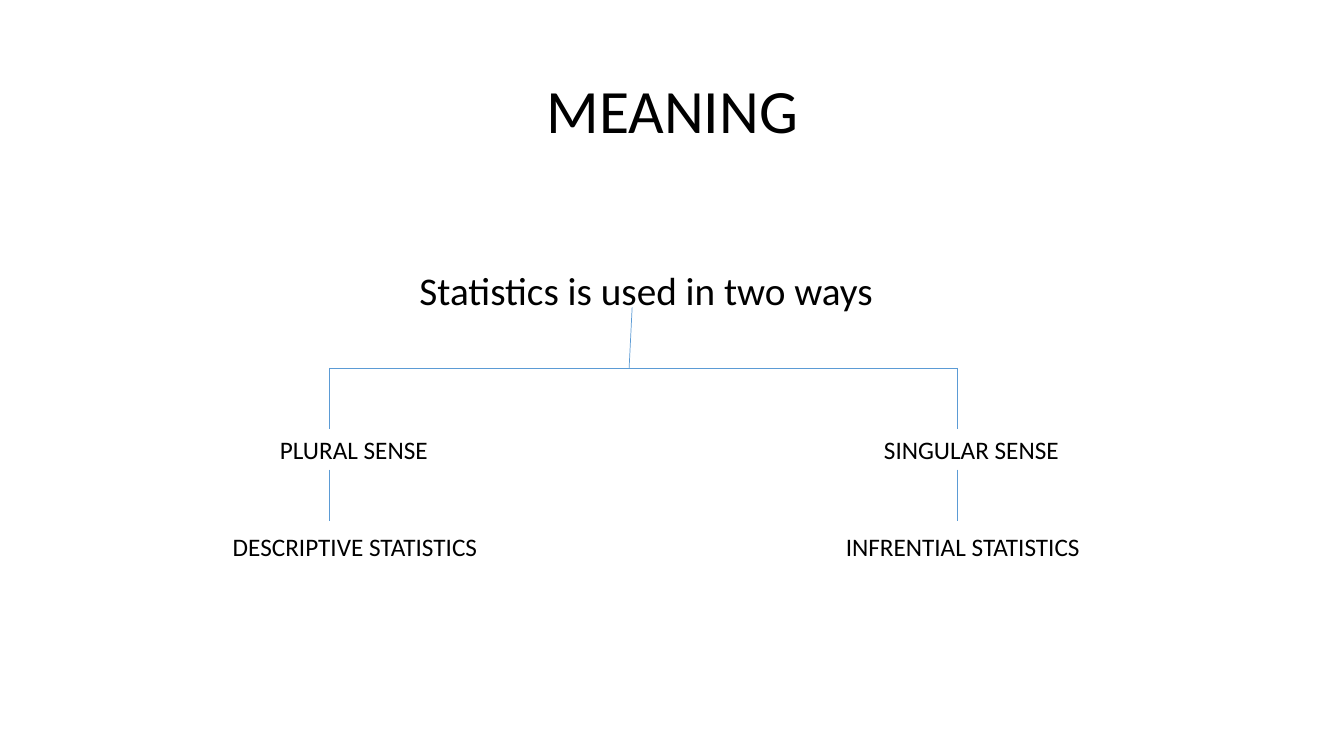
from lxml import etree
from pptx import Presentation
from pptx.dml.color import RGBColor
from pptx.enum.shapes import MSO_CONNECTOR
from pptx.enum.text import MSO_ANCHOR, MSO_AUTO_SIZE, PP_ALIGN
from pptx.oxml.ns import qn
from pptx.util import Inches, Pt

STRAIGHT = MSO_CONNECTOR.STRAIGHT
MIDDLE, TOP = MSO_ANCHOR.MIDDLE, MSO_ANCHOR.TOP
NO_FIT, GROW = MSO_AUTO_SIZE.NONE, MSO_AUTO_SIZE.SHAPE_TO_FIT_TEXT
LEFT, CENTER = PP_ALIGN.LEFT, PP_ALIGN.CENTER
FONT, BLACK, BLUE = "Calibri", "000000", "5B9BD5"


def paint(color, code):
    color.rgb = RGBColor.from_string(code)


def write(shape, text, size, align, fit, anchor=TOP):
    frame = shape.text_frame
    frame.text = text
    frame.word_wrap = True
    frame.auto_size = fit
    frame.vertical_anchor = anchor
    para = frame.paragraphs[0]
    para.alignment = align
    font = para.runs[0].font
    font.size, font.name = Pt(size), FONT
    paint(font.color, BLACK)
    return para


def place(shape, left, top, width, height):
    shape.left, shape.top = Inches(left), Inches(top)
    shape.width, shape.height = Inches(width), Inches(height)


def add_title(slide, text):
    title = slide.shapes.title
    place(title, 0.92, 0.4, 11.5, 1.45)
    write(title, text, 44, CENTER, NO_FIT, MIDDLE).line_spacing = 0.9


def add_lead(slide, text):
    body = slide.placeholders[1]
    place(body, 0.9, 2.07, 11.5, 4.76)
    para = write(body, text, 28, LEFT, NO_FIT)
    body.text_frame.margin_top = Inches(0.62)
    para.line_spacing = 0.9
    para.space_before = Pt(0)
    props = para._p.get_or_add_pPr()
    props.set("marL", str(Inches(3.16)))
    props.set("indent", "0")
    etree.SubElement(props, qn("a:buNone"))


def add_label(slide, text, left, top, width, align):
    box = slide.shapes.add_textbox(
        Inches(left), Inches(top), Inches(width), Inches(0.4))
    write(box, text, 18, align, GROW)


def add_line(slide, x1, y1, x2, y2):
    line = slide.shapes.add_connector(
        STRAIGHT, Inches(x1), Inches(y1), Inches(x2), Inches(y2))
    line.line.width = Pt(0.5)
    paint(line.line.color, BLUE)
    etree.SubElement(line._element.spPr, qn("a:effectLst"))


def main():
    deck = Presentation()
    deck.slide_width, deck.slide_height = Inches(13.33), Inches(7.5)
    slide = deck.slides.add_slide(deck.slide_layouts[1])
    add_title(slide, "MEANING")
    add_lead(slide, "Statistics is used in two ways")

    fork, sense, field = 3.65, 4.26, 5.22
    branches = [
        (3.27, ("PLURAL SENSE", 1.48, 4.06),
         ("DESCRIPTIVE STATISTICS", 2.21, 3.01)),
        (9.5, ("SINGULAR SENSE", 8.35, 2.57),
         ("INFRENTIAL STATISTICS", 8.29, 2.71)),
    ]
    add_line(slide, 6.27, 3.05, 6.24, fork)
    add_line(slide, branches[0][0], fork, branches[1][0], fork)
    for x, (upper, left, width), (lower, start, span) in branches:
        add_line(slide, x, fork, x, sense)
        add_label(slide, upper, left, sense, width, CENTER)
        add_line(slide, x, sense + 0.4, x, field - 0.05)
        add_label(slide, lower, start, field, span, LEFT)

    deck.save("out.pptx")


if __name__ == "__main__":
    main()
